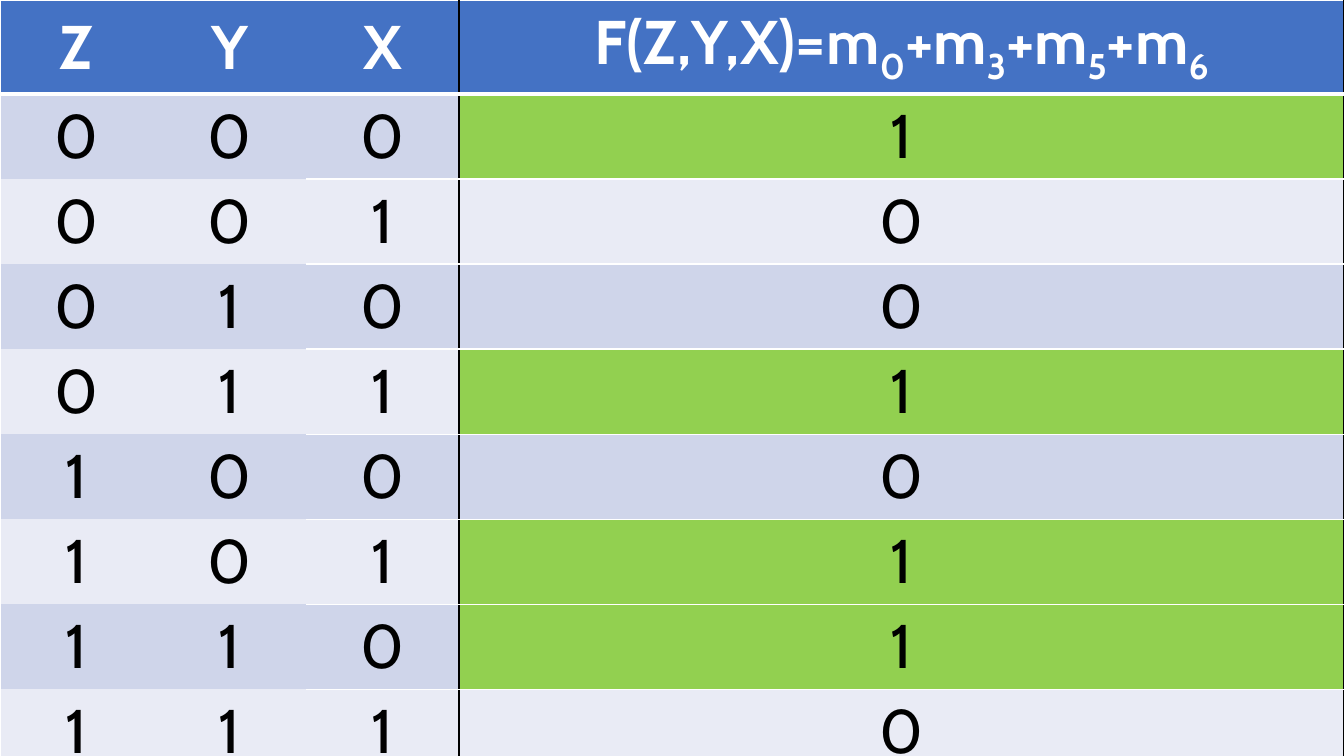
from itertools import product

from lxml.etree import SubElement
from pptx import Presentation
from pptx.dml.color import RGBColor
from pptx.enum.text import MSO_ANCHOR, PP_ALIGN
from pptx.oxml.ns import qn
from pptx.util import Emu, Pt

SLIDE_WIDTH, SLIDE_HEIGHT = 1344, 756
EMU_PER_PX = 12192000 / SLIDE_WIDTH

WHITE = RGBColor(0xFF, 0xFF, 0xFF)
BLACK = RGBColor(0x00, 0x00, 0x00)
BLUE = RGBColor(0x44, 0x72, 0xC4)
DARK_BAND = RGBColor(0xCF, 0xD5, 0xEA)
LIGHT_BAND = RGBColor(0xE9, 0xEB, 0xF5)
GREEN = RGBColor(0x92, 0xD0, 0x50)

VARIABLES = ["Z", "Y", "X"]
MINTERMS = [0, 3, 5, 6]
COLUMN_WIDTHS = [153, 153, 153, 885]
ROW_HEIGHT = 84


def px(length):
    return Emu(round(length * EMU_PER_PX))


class TruthTableSlide:
    header_font = {"name": "Cabin", "size": Pt(44), "bold": True}
    body_font = {**header_font, "bold": False}

    def __init__(self, deck):
        self.page = deck.slides.add_slide(deck.slide_layouts[6])

    def add_table(self, row_count):
        frame = self.page.shapes.add_table(
            row_count, len(COLUMN_WIDTHS), px(0), px(0),
            px(SLIDE_WIDTH), px(ROW_HEIGHT * row_count))
        table = frame.table
        for column, width in zip(table.columns, COLUMN_WIDTHS):
            column.width = px(width)
        for row in table.rows:
            row.height = px(ROW_HEIGHT)
        return table

    def fill_cell(self, cell, pieces, font, color, background):
        """Write pieces of (text, is_subscript) centred in a cell."""
        cell.vertical_anchor = MSO_ANCHOR.MIDDLE
        cell.fill.solid()
        cell.fill.fore_color.rgb = background
        para = cell.text_frame.paragraphs[0]
        para.alignment = PP_ALIGN.CENTER
        for text, is_subscript in pieces:
            span = para.add_run()
            span.text = text
            for name, value in font.items():
                setattr(span.font, name, value)
            span.font.color.rgb = color
            if is_subscript:
                span.font._element.set("baseline", "-25000")

    def set_borders(self, cell, borders):
        """Draw the given sides and clear the others."""
        properties = cell._tc.get_or_add_tcPr()
        for position, side in enumerate("LRTB"):
            color, width = borders.get(side, (None, 1))
            line = SubElement(properties, qn(f"a:ln{side}"), w=str(Pt(width)))
            if color is None:
                SubElement(line, qn("a:noFill"))
            else:
                fill = SubElement(line, qn("a:solidFill"))
                SubElement(fill, qn("a:srgbClr"), val=str(color))
            properties.insert(position, line)


def cell_borders(row, column, last_row):
    borders = {}
    if column == 0:
        borders["L"] = (WHITE, 1)
    if column == 3:
        borders["L"] = (BLACK, 1)
    if column >= 2:
        borders["R"] = (BLACK, 1)
    if column >= 2 or row <= 1:
        borders["T"] = (WHITE, 1)
    if column >= 2 or row == last_row:
        borders["B"] = (WHITE, 1)
    if row == 0:
        borders["B"] = (WHITE, 3)
    return borders


def main():
    deck = Presentation()
    deck.slide_width, deck.slide_height = px(SLIDE_WIDTH), px(SLIDE_HEIGHT)
    slide = TruthTableSlide(deck)
    inputs = list(product("01", repeat=len(VARIABLES)))
    table = slide.add_table(len(inputs) + 1)

    # Header: variables and the sum of minterms
    formula = []
    for minterm in MINTERMS:
        prefix = "+m" if formula else f"F({','.join(VARIABLES)})=m"
        formula += [(prefix, False), (str(minterm), True)]
    headings = [[(variable, False)] for variable in VARIABLES] + [formula]
    for column, pieces in enumerate(headings):
        slide.fill_cell(table.cell(0, column), pieces,
                        slide.header_font, WHITE, BLUE)

    # Body: every input combination, with the minterms in green
    for index, bits in enumerate(inputs):
        band = LIGHT_BAND if index % 2 else DARK_BAND
        is_minterm = index in MINTERMS
        for column, digit in enumerate([*bits, str(int(is_minterm))]):
            is_result = column == len(VARIABLES)
            background = GREEN if is_minterm and is_result else band
            slide.fill_cell(table.cell(index + 1, column), [(digit, False)],
                            slide.body_font, BLACK, background)

    # Borders
    for row in range(len(inputs) + 1):
        for column in range(len(COLUMN_WIDTHS)):
            slide.set_borders(table.cell(row, column),
                              cell_borders(row, column, len(inputs)))

    deck.save("out.pptx")


if __name__ == "__main__":
    main()
